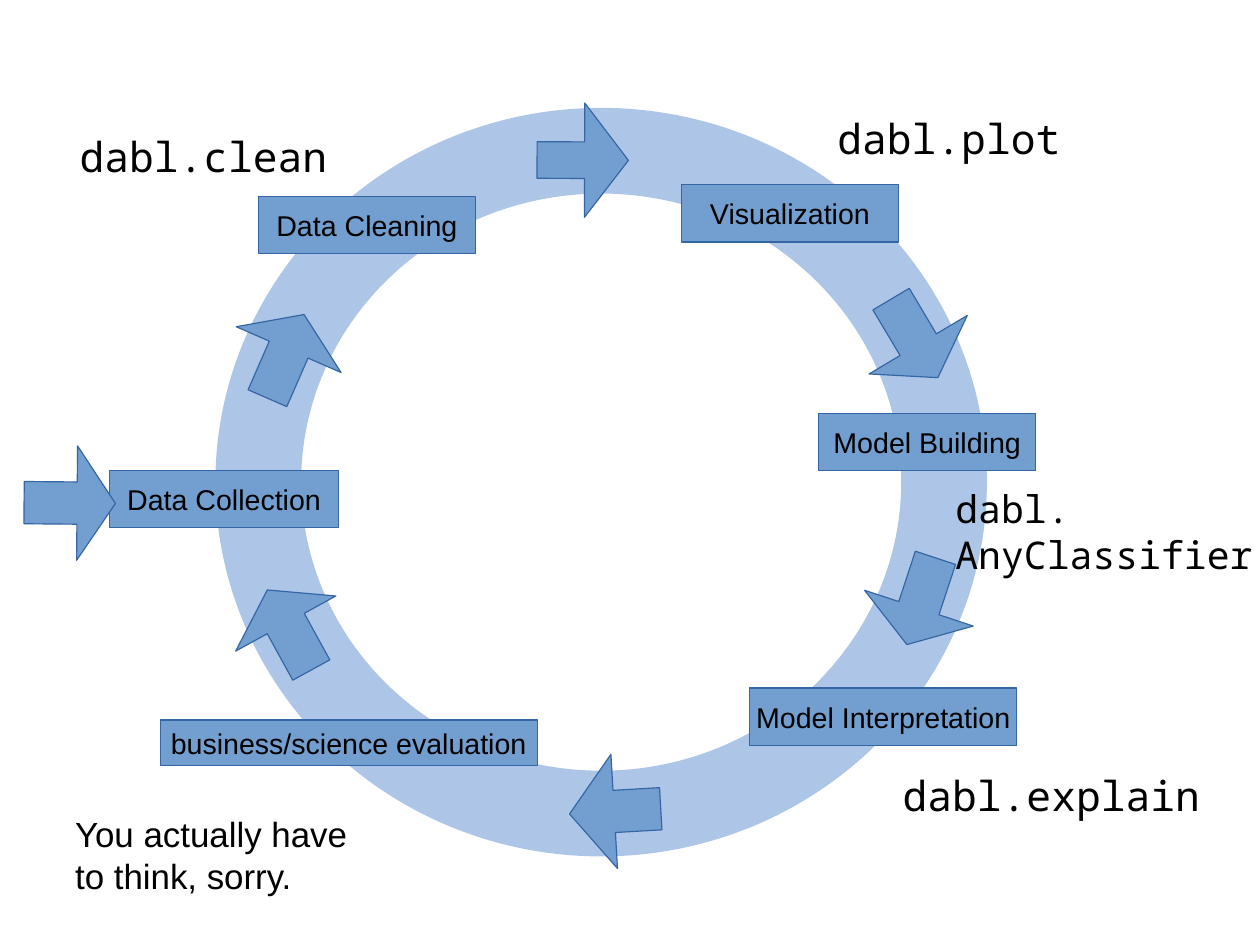
from typing import NamedTuple

from pptx import Presentation
from pptx.dml.color import RGBColor
from pptx.enum.shapes import MSO_SHAPE
from pptx.enum.text import MSO_ANCHOR, PP_ALIGN
from pptx.util import Cm, Pt

SANS, MONO = "Arial", "Noto Sans Mono"
RING, BLUE, EDGE, BLACK = "ADC5E7", "729FCF", "3465A4", "000000"


class Step(NamedTuple):
    text: str
    left: float
    top: float
    width: float = 4.83
    height: float = 1.27


class Arrow(NamedTuple):
    """An arrow by its centre and its clockwise turn from pointing up."""
    x: float
    y: float
    turn: float
    shaft: float = 0.37
    head: float = 0.42


class Note(NamedTuple):
    text: str
    left: float
    top: float
    width: float
    height: float
    size: int = 26
    font: str = MONO


STEPS = [
    Step("Data Collection", 2.44, 10.46, 5.08),
    Step("Data Cleaning", 5.74, 4.37),
    Step("Visualization", 15.14, 4.11),
    Step("Model Building", 18.19, 9.19),
    Step("Model Interpretation", 16.66, 15.29, 5.94),
    Step("business/science evaluation", 3.56, 16, 8.38, 1.02),
]
ARROWS = [
    Arrow(6.35, 7.92, 23.6),
    Arrow(13.67, 18.03, 266.7, head=0.49),
    Arrow(20.32, 7.52, 149.2),
    Arrow(6.43, 14, 331.2),
    Arrow(1.55, 11.18, 90.5),
    Arrow(20.47, 13.36, 198.2),
    Arrow(12.95, 3.56, 90.2, 0.32, 0.48),
]
NOTES = [
    Note("dabl.clean", 1.52, 2.79, 6.05, 1.09),
    Note("dabl.plot", 18.36, 2.39, 6.53, 1.93),
    Note("dabl.\vAnyClassifier", 20.98, 10.67, 7.02, 2.97, 24),
    Note("dabl.explain", 19.81, 16.99, 7.92, 2.06),
    Note("You actually have to think, sorry.", 1.42, 17.93, 7.11, 2.39, 22, SANS),
]


def color(code: str) -> RGBColor:
    return RGBColor.from_string(code)


def add_shape(slide, kind, left: float, top: float, width: float, height: float):
    """Add a blue shape with a thin dark edge."""
    shape = slide.shapes.add_shape(kind, Cm(left), Cm(top), Cm(width), Cm(height))
    shape.shadow.inherit = False
    shape.fill.solid()
    shape.fill.fore_color.rgb = color(BLUE)
    shape.line.color.rgb = color(EDGE)
    shape.line.width = Pt(0.75)
    return shape


def write(frame, text: str, size: int, font: str) -> None:
    para = frame.paragraphs[0]
    para.text = text
    for run in para.runs:
        run.font.size = Pt(size)
        run.font.name = font
        run.font.color.rgb = color(BLACK)


def add_ring(slide) -> None:
    ring = add_shape(slide, MSO_SHAPE.OVAL, 5.74, 3.35, 15.24, 14.73)
    ring.fill.background()
    ring.line.color.rgb = color(RING)
    ring.line.width = Pt(54)


def add_step(slide, step: Step) -> None:
    box = add_shape(slide, MSO_SHAPE.RECTANGLE, *step[1:])
    frame = box.text_frame
    write(frame, step.text, 18, SANS)
    frame.word_wrap = False
    frame.vertical_anchor = MSO_ANCHOR.MIDDLE
    frame.paragraphs[0].alignment = PP_ALIGN.CENTER


def add_arrow(slide, arrow: Arrow) -> None:
    width, height = 2.54, 2.03
    shape = add_shape(slide, MSO_SHAPE.UP_ARROW, arrow.x - width / 2,
                      arrow.y - height / 2, width, height)
    shape.adjustments[0] = arrow.shaft
    shape.adjustments[1] = arrow.head
    shape.rotation = arrow.turn


def add_note(slide, note: Note) -> None:
    box = slide.shapes.add_textbox(Cm(note.left), Cm(note.top),
                                   Cm(note.width), Cm(note.height))
    frame = box.text_frame
    frame.word_wrap = True
    frame.margin_right = Cm(0)
    write(frame, note.text, note.size, note.font)


def main() -> None:
    deck = Presentation()
    deck.slide_width, deck.slide_height = Cm(28), Cm(21)
    slide = deck.slides.add_slide(deck.slide_layouts[6])
    add_ring(slide)
    for step in STEPS:
        add_step(slide, step)
    for arrow in ARROWS:
        add_arrow(slide, arrow)
    for note in NOTES:
        add_note(slide, note)
    deck.save("out.pptx")


if __name__ == "__main__":
    main()
